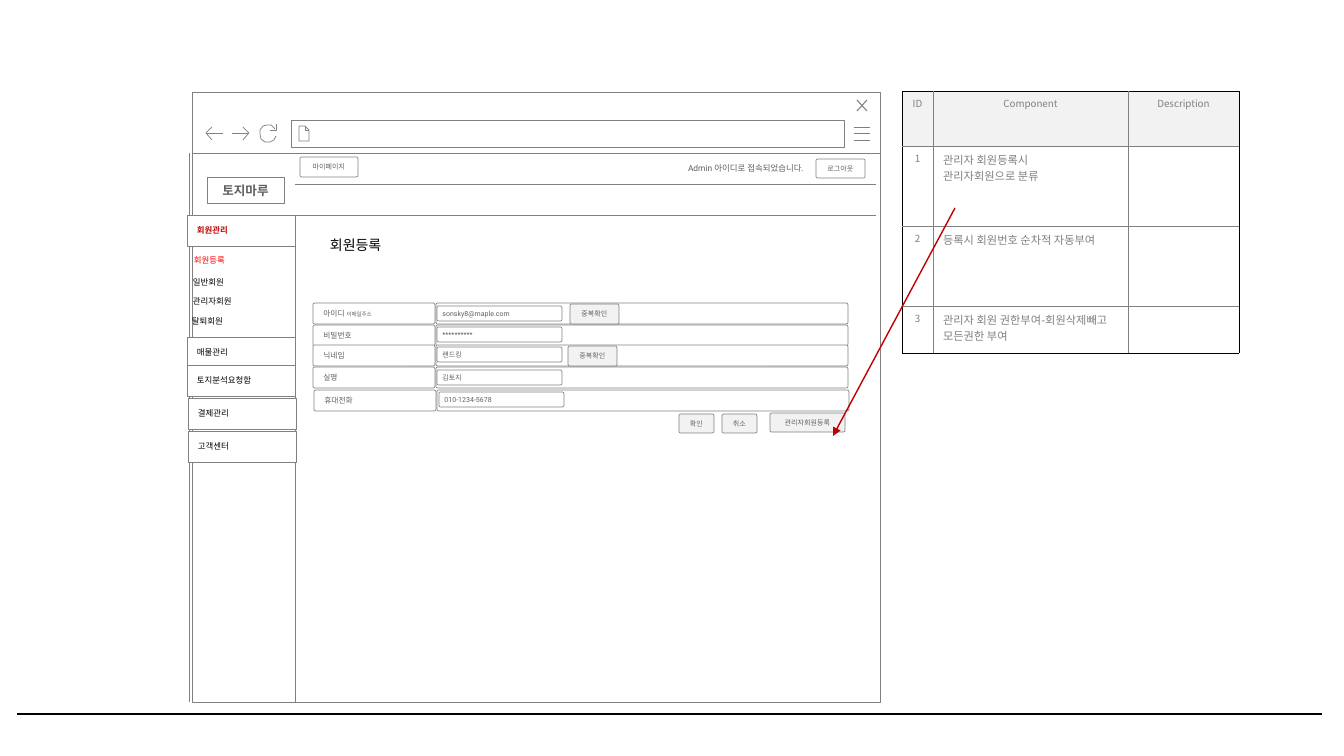
"""Build the wireframe slide of the admin member registration screen."""
from lxml import etree
from pptx import Presentation, util as u
from pptx.dml.color import RGBColor
from pptx.enum import shapes, text
from pptx.oxml.ns import qn

PIXEL = 914400 / 100.8
THEME = {
    "white": "FFFFFF", "pale": "F2F2F2", "grey": "808080", "ink": "5F5F5F",
    "black": "000000", "red": "C00000", "bright": "FF0000",
    "ui": "Roboto", "korean": "Noto Sans CJK KR",
    "note": 4, "small": 5, "label": 5.5, "menu": 6, "id": 7, "cell": 8, "brand": 9, "title": 10,
    "hair": 0.25, "thin": 0.5, "icon": 0.75, "arrow": 1, "rule": 1.75,
}
CENTER = text.PP_ALIGN.CENTER
FIELD_INSETS = (5, 3, 21, 3)
MENU_INSETS = (10, 5, 20, 5)

BROWSER = [(192, 153, 688, 549), (192, 92, 688, 61), (291, 120, 553, 27)]
ICONS = [
    ("thin", [[(854, 140), (870, 140)], [(854, 133), (870, 133)], [(854, 127), (870, 127)]]),
    ("icon", [[(867, 100), (857, 111)], [(857, 100), (867, 111)]]),
    ("thin", [[(305, 126), (305, 130), (309, 130)],
              [(299, 126), (299, 141), (309, 141), (309, 130), (305, 126), (299, 126)]]),
    ("thin", [[(212, 140), (206, 133), (212, 127)], [(206, 133), (223, 133)]]),
    ("thin", [[(243, 127), (249, 133), (243, 140)], [(249, 133), (232, 133)]]),
    ("thin", [[(276, 124), (276, 130), (270, 130)],
              [(276, 136), (274, 140), (270, 142), (265, 142), (261, 139), (260, 134),
               (260, 130), (263, 126), (267, 125), (271, 125), (275, 129)]]),
]
DIVIDERS = [((189, 153), (189, 702)), ((295, 184), (876, 184)),
            ((188, 215), (876, 215)), ((295, 215), (295, 702))]
FORM_ROWS = [
    ("아이디 ", "이메일주소", "sonsky8@maple.com", 303, 306, 0),
    ("비밀번호 ", "", "**********", 325, 327, 0),
    ("닉네임", "", "랜드킹", 345, 347, 0),
    ("실명", "", "김토지", 367, 370, 0),
    ("휴대전화", "", "010-1234-5678", 390, 392, 1),
]
BUTTONS = [
    ("마이페이지", (300, 157, 58, 20), "white", True),
    ("로그아웃", (816, 159, 49, 19), "white", False),
    ("중복확인", (570, 304, 49, 20), "pale", False),
    ("중복확인", (568, 346, 49, 20), "pale", False),
    ("확인", (679, 414, 35, 19), "pale", False),
    ("취소", (722, 414, 35, 19), "pale", False),
    ("관리자회원등록", (770, 413, 75, 19), "pale", True),
]
MENU = [("회원관리", 187, 215), ("매물관리", 187, 337), ("토지분석요청함", 187, 365),
        ("결제관리", 188, 398), ("고객센터", 188, 431)]
SUBMENU = [("회원등록", 184, 250, "bright"), ("일반회원", 183, 272, "black"),
           ("관리자회원", 183, 291, "black"), ("탈퇴회원", 182, 311, "black")]
NOTES = [
    ("ID", "Component", "Description"),
    ("1", "관리자 회원등록시\n관리자회원으로 분류", ""),
    ("2", "등록시 회원번호 순차적 자동부여", ""),
    ("3", "관리자 회원 권한부여-회원삭제빼고 모든권한 부여", ""),
]
NOTE_COLUMNS, NOTE_ROWS = (31, 195, 111), (55, 80, 80, 47)


def px(length):
    return u.Emu(round(length * PIXEL))


def color(name):
    return RGBColor.from_string(THEME[name])


def set_all(target, values):
    for name, value in values.items():
        setattr(target, name, value)


def style_run(run, size, ink="ink", face="ui", bold=False):
    set_all(run.font, {"name": THEME[face], "size": u.Pt(THEME[size]), "bold": bold})
    run.font.color.rgb = color(ink)
    etree.SubElement(run.font._element, qn("a:ea"), typeface=THEME[face])


def write(shape, parts, align=None, wrap=True, insets=(10, 5, 10, 5),
          anchor=text.MSO_ANCHOR.MIDDLE):
    frame = shape.text_frame
    sides = ("margin_left", "margin_top", "margin_right", "margin_bottom")
    set_all(frame, {"word_wrap": wrap, "vertical_anchor": anchor,
                    **dict(zip(sides, map(px, insets)))})
    paragraph = frame.paragraphs[0]
    paragraph.alignment = align or text.PP_ALIGN.LEFT
    for words, style in parts:
        run = paragraph.add_run()
        run.text = words
        style_run(run, **style)


def outline(shape, fill="white", width="thin"):
    shape.shadow.inherit = False
    if fill:
        shape.fill.solid()
        shape.fill.fore_color.rgb = color(fill)
    else:
        shape.fill.background()
    shape.line.color.rgb = color("grey")
    shape.line.width = u.Pt(THEME[width])


def add_box(box, fill="white", radius=None):
    kind = shapes.MSO_SHAPE.RECTANGLE if radius is None else shapes.MSO_SHAPE.ROUNDED_RECTANGLE
    shape = slide.shapes.add_shape(kind, *map(px, box))
    if radius is not None:
        shape.adjustments[0] = radius
    outline(shape, fill)
    return shape


def add_label(box, words, wrap=True, **style):
    label = slide.shapes.add_textbox(*map(px, box))
    write(label, [(words, style)], wrap=wrap, anchor=text.MSO_ANCHOR.TOP)


def add_line(start, end, ink="grey", width="thin"):
    line = slide.shapes.add_connector(shapes.MSO_CONNECTOR.STRAIGHT, *map(px, start + end))
    line.line.color.rgb = color(ink)
    line.line.width = u.Pt(THEME[width])
    etree.SubElement(line._element.spPr, qn("a:effectLst"))
    return line


def add_icon(width, strokes):
    builder = slide.shapes.build_freeform(*strokes[0][0], scale=PIXEL)
    for stroke in strokes:
        builder.move_to(*stroke[0])
        builder.add_line_segments(stroke[1:], close=False)
    outline(builder.convert_to_shape(), None, width)


def set_borders(cell, edges):
    properties = cell._tc.get_or_add_tcPr()
    for index, (side, outer) in enumerate(edges.items()):
        border = etree.Element(qn("a:ln" + side), w=str(u.Pt(THEME["hair"])))
        fill = etree.SubElement(border, qn("a:solidFill"))
        etree.SubElement(fill, qn("a:srgbClr"), val=THEME["black" if outer else "grey"])
        properties.insert(index, border)


def add_notes():
    box = (902, 91, sum(NOTE_COLUMNS), sum(NOTE_ROWS))
    table = slide.shapes.add_table(len(NOTES), len(NOTE_COLUMNS), *map(px, box)).table
    for column, width in zip(table.columns, NOTE_COLUMNS):
        column.width = px(width)
    for r, (values, height) in enumerate(zip(NOTES, NOTE_ROWS)):
        table.rows[r].height = px(height)
        for c, value in enumerate(values):
            cell = table.cell(r, c)
            cell.fill.solid()
            cell.fill.fore_color.rgb = color("white" if r else "pale")
            set_borders(cell, {"L": c == 0, "R": c == len(values) - 1,
                               "T": r == 0, "B": r == len(NOTES) - 1})
            cell.text = value
            body = r > 0 and c == 1
            for paragraph in cell.text_frame.paragraphs:
                paragraph.alignment = text.PP_ALIGN.LEFT if body else CENTER
                for run in paragraph.runs:
                    style_run(run, "cell" if body else "id", "grey", "korean")


presentation = Presentation()
set_all(presentation, {"slide_width": px(1344), "slide_height": px(756)})
slide = presentation.slides.add_slide(presentation.slide_layouts[6])

add_line((17, 714), (1322, 714), "black", "rule")
for box in BROWSER:
    add_box(box)
for icon in ICONS:
    add_icon(*icon)
add_notes()
for divider in DIVIDERS:
    add_line(*divider)

write(add_box((207, 177, 77, 26), radius=0),
      [("토지마루", {"size": "brand", "bold": True})], CENTER)
add_label((678, 158, 144, 20), "Admin 아이디로 접속되었습니다.", False, size="menu")
add_label((320, 232, 214, 27), "회원등록", size="title", ink="black", face="korean")

for name, hint, value, top, field_top, shift in FORM_ROWS:
    parts = [(name, {"size": "label"})] + ([(hint, {"size": "note"})] if hint else [])
    write(add_box((313 + shift, top, 122, 21), radius=0.09), parts)
    add_box((436 + shift, top, 412, 21), radius=0.09)
    write(add_box((437 + 2 * shift, field_top, 125, 15), radius=0.11),
          [(value, {"size": "small"})], insets=FIELD_INSETS)
for name, box, fill, wrap in BUTTONS:
    write(add_box(box, fill, 0.09), [(name, {"size": "small"})], CENTER, wrap)

for index, (name, left, top) in enumerate(MENU):
    style = {"size": "menu", "ink": "black" if index else "red", "bold": index == 0}
    write(add_box((left, top, 108, 31)), [(name, style)], insets=MENU_INSETS)
for name, left, top, ink in SUBMENU:
    add_label((left, top, 77, 20), name, size="menu", ink=ink, face="korean")

arrow = add_line((955, 208), (833, 436), "red", "arrow")
etree.SubElement(arrow.line._get_or_add_ln(), qn("a:tailEnd"), type="triangle")
presentation.save("out.pptx")
